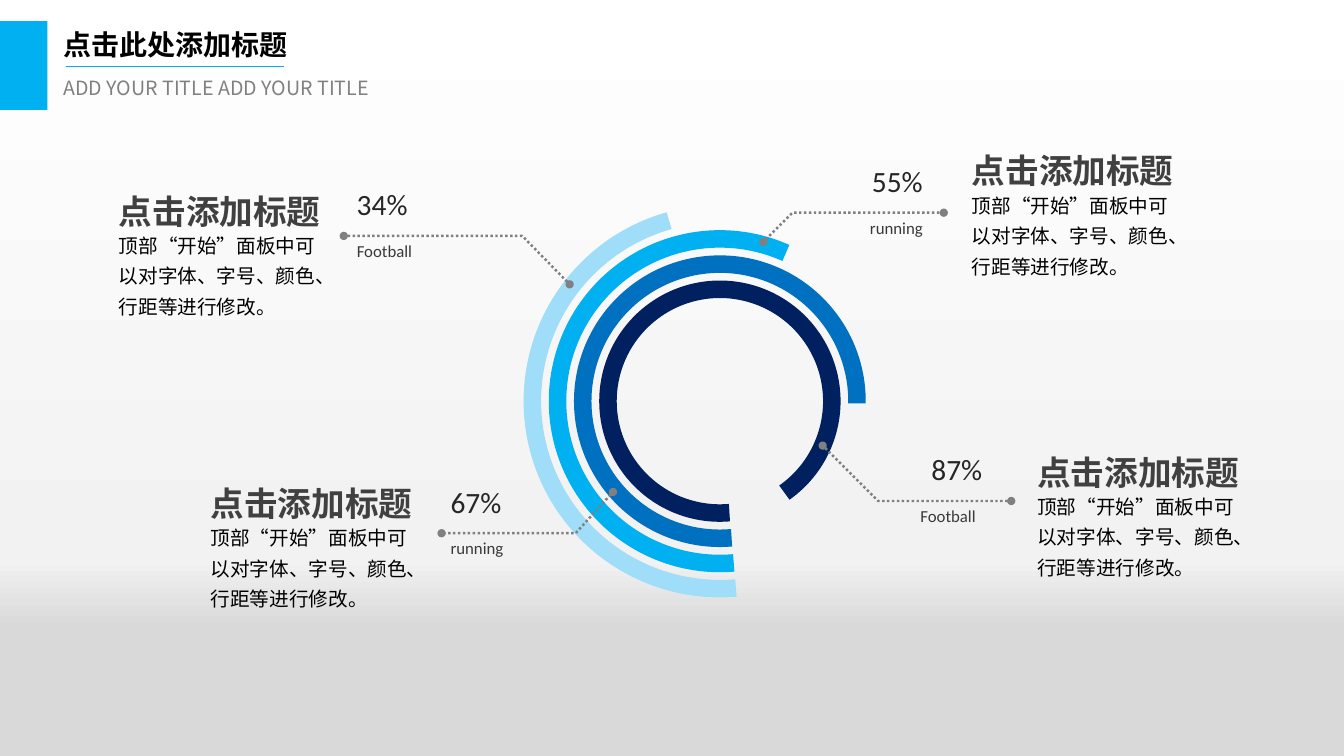
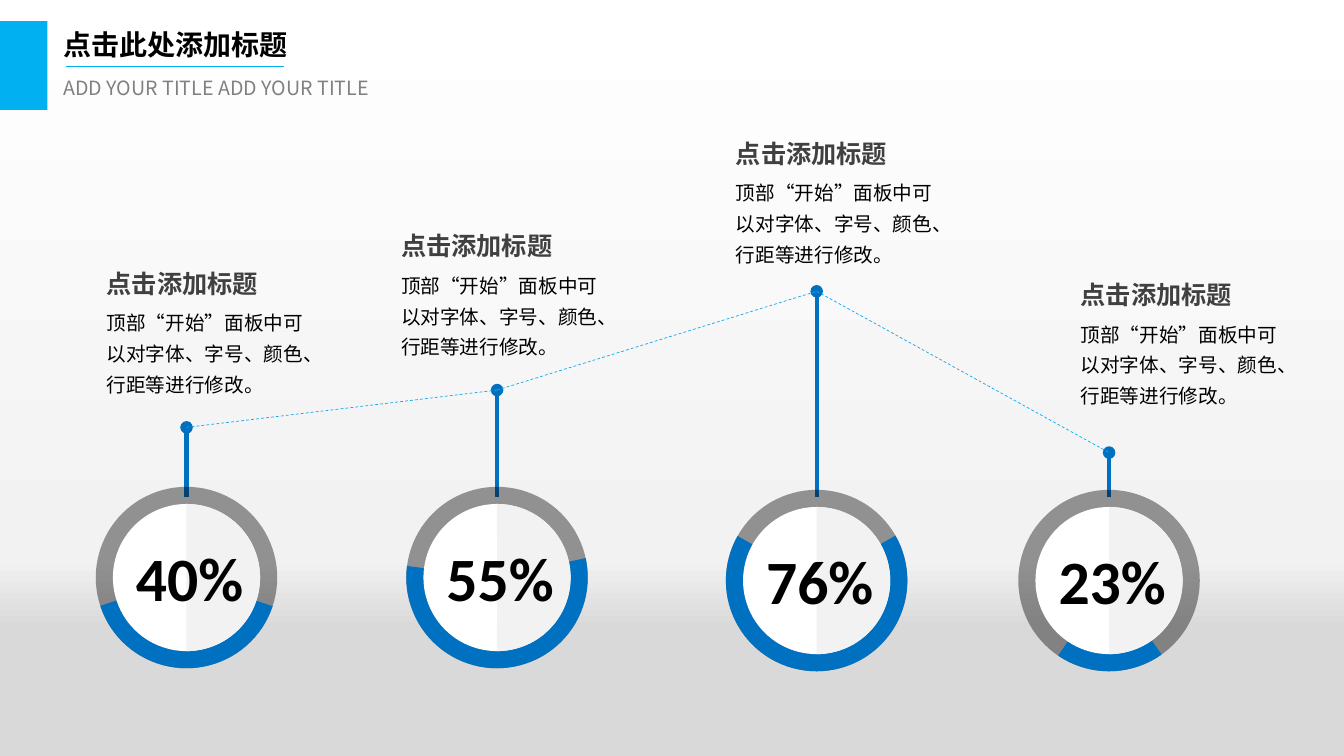
from collections import namedtuple
from dataclasses import dataclass
from itertools import pairwise

from lxml.etree import SubElement
from pptx import Presentation
from pptx.dml.color import RGBColor as RGB
from pptx.enum.dml import MSO_LINE as DASH
from pptx.enum.shapes import MSO_CONNECTOR as LINK, MSO_SHAPE as SHAPE
from pptx.enum.text import MSO_AUTO_SIZE as FIT
from pptx.oxml.ns import qn
from pptx.util import Inches, Pt


@dataclass(frozen=True)
class Theme:
    """Colours, fonts and type sizes shared by the slides."""
    latin: str = "Calibri"
    cjk: str = "Noto Sans CJK SC"
    black: str = "000000"
    white: str = "FFFFFF"
    half: str = "F2F2F2"
    navy: str = "002060"
    blue: str = "0070C0"
    sky: str = "00B0F0"
    pale: str = "9FDDF8"
    link: str = "11A9ED"
    grey: str = "808080"
    heading: str = "404040"
    share: str = "262626"
    sport: str = "3B3838"
    title_size: int = 20
    body_size: int = 14
    share_size: int = 21
    sport_size: int = 12
    gauge_size: int = 44
    backdrop: tuple = ((0, "FFFFFF"), (74, "F2F2F2"), (83, "D9D9D9"), (100, "D9D9D9"))


T = Theme()
BODY = "顶部“开始”面板中可以对字体、字号、颜色、行距等进行修改。"
HEADING = "点击添加标题"

Callout = namedtuple("Callout", "share sport copy_at share_x sport_x leader")
CALLOUTS = [
    Callout("34%", "Football", (1.08, 1.84), 3.44, 3.44, [(5.65, 2.82), (5.18, 2.34), (3.41, 2.34)]),
    Callout("55%", "running", (9.54, 1.44), 8.55, 8.53, [(7.57, 2.4), (7.86, 2.11), (9.36, 2.11)]),
    Callout("67%", "running", (1.99, 4.74), 4.37, 4.37, [(6.08, 4.88), (5.71, 5.29), (4.38, 5.29)]),
    Callout("87%", "Football", (10.19, 4.43), 9.14, 9.03, [(8.16, 4.42), (8.71, 4.97), (10.03, 4.97)]),
]
RINGS = [(54.8, T.navy), (0.9, T.blue), (294, T.sky), (254.3, T.pale)]

Gauge = namedtuple("Gauge", "share center stem_top sweep copy_at")
GAUGES = [
    Gauge("40%", (1.85, 5.73), 4.24, (18.4, 161.8), (0.96, 2.61)),
    Gauge("55%", (4.93, 5.73), 3.87, (347.6, 187.3), (3.88, 2.24)),
    Gauge("76%", (8.1, 5.76), 2.89, (330.3, 209.4), (7.2, 1.32)),
    Gauge("23%", (11, 5.76), 4.49, (54.6, 124.1), (10.62, 2.72)),
]


def put_text(slide, text, box, color, size, font=T.cjk, bold=False, wrap=True, spacing=None):
    """Add a one-paragraph text box."""
    frame = slide.shapes.add_textbox(*map(Inches, box)).text_frame
    frame.word_wrap = wrap
    frame.auto_size = FIT.SHAPE_TO_FIT_TEXT
    paragraph = frame.paragraphs[0]
    paragraph.line_spacing = spacing
    run = paragraph.add_run()
    run.text = text
    for name, value in {"name": font, "size": Pt(size), "bold": bold}.items():
        setattr(run.font, name, value)
    run.font.color.rgb = RGB.from_string(color)
    SubElement(run.font._element, qn("a:ea"), typeface=font)


def put_shape(slide, kind, box, color, angles=(), alpha=None):
    """Add a filled shape without outline; angles are in degrees."""
    shape = slide.shapes.add_shape(kind, *map(Inches, box))
    shape.shadow.inherit = False
    shape.fill.solid()
    shape.fill.fore_color.rgb = RGB.from_string(color)
    shape.line.fill.background()
    for index, angle in enumerate(angles):
        shape.adjustments[index] = angle * 0.6
    if alpha:
        tint = shape._element.spPr.find(".//" + qn("a:srgbClr"))
        SubElement(tint, qn("a:alpha"), val=str(alpha * 1000))
    return shape


def style_line(line, color, width, dash=None, ends=()):
    """Set the colour, width, dash and oval ends of a line."""
    line.color.rgb = RGB.from_string(color)
    for name, value in {"width": Pt(width), "dash_style": dash}.items():
        setattr(line, name, value)
    for end in ends:
        SubElement(line._get_or_add_ln(), qn(f"a:{end}"), type="oval")


def put_line(slide, start, end, color, width, **style):
    """Add a straight connector."""
    connector = slide.shapes.add_connector(LINK.STRAIGHT, *map(Inches, (*start, *end)))
    style_line(connector.line, color, width, **style)
    SubElement(connector._element.spPr, qn("a:effectLst"))


def around(center, radius):
    """Return the square box around a centre."""
    x, y = center
    return x - radius, y - radius, 2 * radius, 2 * radius


def paint_backdrop(master):
    """Give the master its vertical gradient."""
    fill = master.background.fill
    fill.gradient()
    fill.gradient_angle = 270
    stops = master.element.find(".//" + qn("a:gsLst"))
    for stop in list(stops):
        stops.remove(stop)
    for position, color in T.backdrop:
        stop = SubElement(stops, qn("a:gs"), pos=str(position * 1000))
        SubElement(stop, qn("a:srgbClr"), val=color)


def header(slide, top=0.21):
    """Draw the title region below the given top."""
    put_text(slide, "点击此处添加标题", (0.53, top + 0.01, 2.7, 0.44), T.black, T.title_size, bold=True)
    put_line(slide, (0.65, top + 0.45), (2.82, top + 0.45), T.sky, 0.5)
    put_shape(slide, SHAPE.RECTANGLE, (0, top, 0.47, 0.88), T.sky)
    put_text(slide, "ADD YOUR TITLE ADD YOUR TITLE", (0.53, top + 0.49, 4.25, 0.57), T.grey, T.body_size)


def copy_block(slide, corner, size):
    """Draw a heading with its body text from the given corner."""
    x, y = corner
    put_text(slide, BODY, (x, y + 0.36, 2.23, 1.02), T.black, T.body_size, spacing=1.3)
    put_text(slide, HEADING, (x, y, size / 12 + 0.22, size / 48), T.heading, size, bold=True, wrap=False)


def ring_dial(slide, center):
    """Draw the concentric arcs around a centre."""
    for index, (end, color) in enumerate(RINGS):
        arc = put_shape(slide, SHAPE.ARC, around(center, 1.11 + 0.25 * index), color, (85.1, end))
        arc.fill.background()
        style_line(arc.line, color, 12.5)


def callout(slide, item):
    """Draw a leader with its share, sport and copy."""
    start, *bends = [tuple(map(Inches, point)) for point in item.leader]
    outline = slide.shapes.build_freeform(*start)
    outline.add_line_segments(bends, close=False)
    leader = outline.convert_to_shape()
    leader.shadow.inherit = False
    leader.fill.background()
    style_line(leader.line, T.grey, 1.75, DASH.ROUND_DOT, ("headEnd", "tailEnd"))
    y = item.leader[-1][1]
    put_text(slide, item.share, (item.share_x, y - 0.54, 0.9, 0.58), T.share, T.share_size, T.latin, wrap=False)
    put_text(slide, item.sport, (item.sport_x, y, 0.95, 0.38), T.sport, T.sport_size, T.latin, wrap=False)
    copy_block(slide, item.copy_at, 24)


def gauge(slide, item):
    """Draw a ring gauge around its centre."""
    x, y = item.center
    outer, inner = around(item.center, 0.9), around(item.center, 0.73)
    put_shape(slide, SHAPE.OVAL, outer, T.black, alpha=40)
    put_shape(slide, SHAPE.PIE, outer, T.blue, item.sweep)
    put_shape(slide, SHAPE.OVAL, inner, T.white)
    put_shape(slide, SHAPE.PIE, inner, T.half, (270, 90))
    put_text(slide, item.share, (x - 0.6, y - 0.42, 1.32, 0.84), T.black, T.gauge_size, T.latin, bold=True)


def dial_slide(slide):
    """Build the slide with the ring dial and callouts."""
    ring_dial(slide, (7.14, 3.98))
    for item in CALLOUTS:
        callout(slide, item)
    header(slide)


def gauge_slide(slide):
    """Build the slide with the linked gauges."""
    tips = [(item.center[0], item.stem_top) for item in GAUGES]
    for tip in tips:
        put_line(slide, (tip[0], 4.93), tip, T.blue, 3, ends=("tailEnd",))
    for item in GAUGES:
        gauge(slide, item)
    for start, end in pairwise(tips):
        put_line(slide, start, end, T.link, 0.5, dash=DASH.DASH)
    header(slide)
    for item in GAUGES:
        copy_block(slide, item.copy_at, 18)


def main():
    """Build and save the presentation."""
    deck = Presentation()
    deck.slide_width, deck.slide_height = Inches(13.33), Inches(7.5)
    paint_backdrop(deck.slide_master)
    for build in (dial_slide, gauge_slide):
        build(deck.slides.add_slide(deck.slide_layouts[6]))
    deck.save("out.pptx")


if __name__ == "__main__":
    main()
